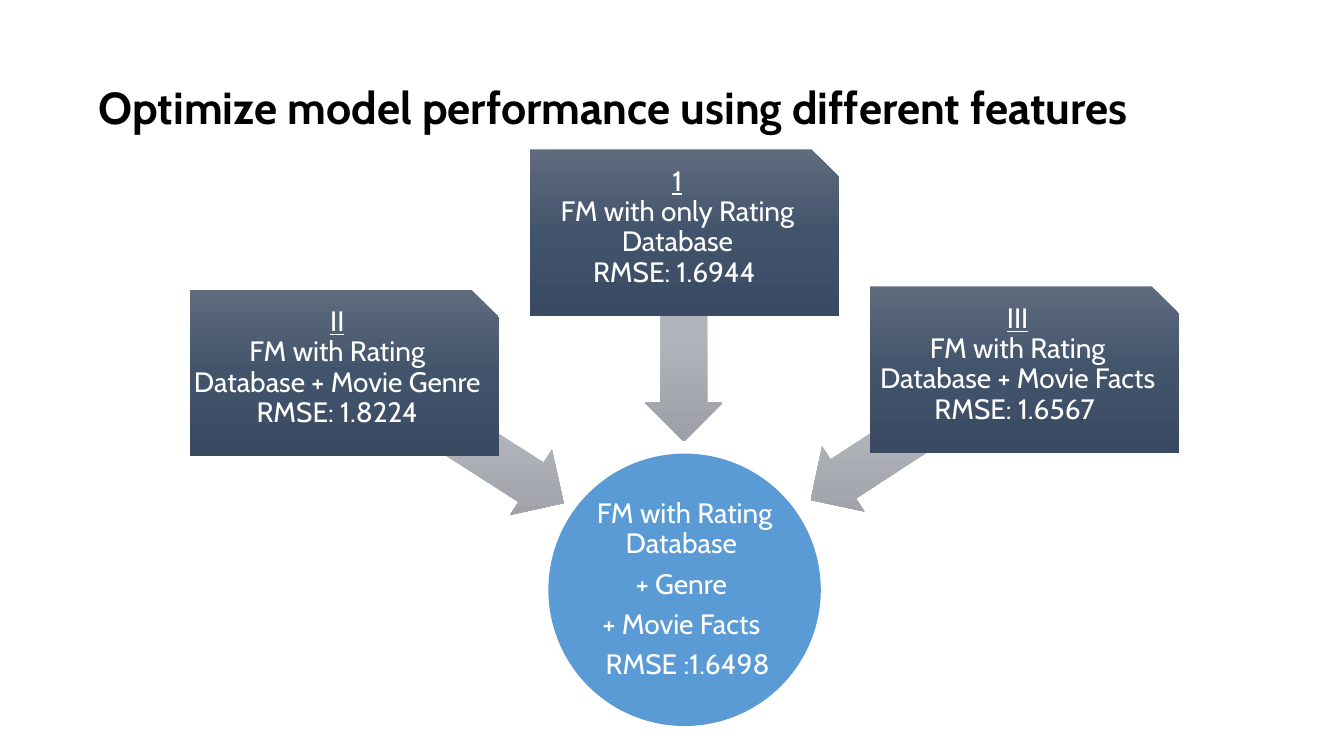
from copy import deepcopy
from pptx import Presentation
from pptx.dml.color import RGBColor
from pptx.enum.shapes import MSO_SHAPE
from pptx.enum.text import MSO_ANCHOR, PP_ALIGN
from pptx.oxml.ns import qn
from pptx.util import Pt


def paint(shape, *tones):
    """Fill with one tone, or with three as an upright gradient that ignores rotation."""
    shape.shadow.inherit = False
    shape.line.fill.background()
    fill = shape.fill
    if len(tones) == 1:
        fill.solid()
        fill.fore_color.rgb = RGBColor.from_string(tones[0])
        return
    fill.gradient()
    fill.gradient_angle = 270
    grad = shape.element.spPr.find(qn("a:gradFill"))
    grad.set("rotWithShape", "0")
    stops = grad.find(qn("a:gsLst"))
    stops.insert(1, deepcopy(stops[0]))
    for stop, place, tone in zip(fill.gradient_stops, (0, 0.5, 1), tones):
        stop.position = place
        stop.color.rgb = RGBColor.from_string(tone)


def write(shape, lines, inset, anchor, gap=0):
    frame = shape.text_frame
    frame.word_wrap = True
    frame.vertical_anchor = anchor
    frame.margin_left = frame.margin_right = Pt(inset)
    frame.margin_top = frame.margin_bottom = Pt(inset)
    for i, line in enumerate(lines):
        para = frame.add_paragraph() if i else frame.paragraphs[0]
        para.alignment = PP_ALIGN.CENTER
        para.line_spacing = 0.9
        para.space_after = Pt(gap)
        run = para.add_run()
        run.text = line
        run.font.name = "Cabin"
        run.font.size = Pt(20)
        run.font.color.rgb = RGBColor.from_string("FFFFFF")


deck = Presentation()
deck.slide_width, deck.slide_height = Pt(960), Pt(540)
slide = deck.slides.add_slide(deck.slide_layouts[5])
shapes = slide.shapes

# Title
title = shapes.title
title.left, title.top, title.width, title.height = Pt(63.4), Pt(53.3), Pt(864), Pt(46)
title.text_frame.vertical_anchor = MSO_ANCHOR.TOP
para = title.text_frame.paragraphs[0]
para.alignment = PP_ALIGN.LEFT
run = para.add_run()
run.text = "Optimize model performance using different features"
run.font.name = "Cabin"
run.font.size = Pt(32)
run.font.bold = True
run.font.color.rgb = RGBColor.from_string("000000")

# Combined model
hub = shapes.add_shape(MSO_SHAPE.OVAL, Pt(391.7), Pt(324), Pt(194.6), Pt(194.6))
paint(hub, "5B9BD5")
write(hub, ["FM with Rating Database ", "+ Genre ", "+ Movie Facts ", " RMSE :1.6498"],
      0.9, MSO_ANCHOR.MIDDLE, gap=7)

# Single models: box top, arrow (left, top, length, turn), text
models = [
    (206.8, (236.2, 283, 180.7, 212.6),
     ["II", "FM with Rating Database + Movie Genre", "RMSE: 1.8224"]),
    (106.6, (414, 213.1, 149, 270),
     ["1", "FM with only Rating Database", "RMSE: 1.6944 "]),
    (204.5, (564.5, 280.1, 181.4, 327),
     ["III", "FM with Rating Database + Movie Facts RMSE: 1.6567 "]),
]
for col, (top, (x, y, length, turn), lines) in enumerate(models):
    arrow = shapes.add_shape(MSO_SHAPE.LEFT_ARROW, Pt(x), Pt(y), Pt(length), Pt(55.4))
    arrow.adjustments[0] = 0.6
    arrow.adjustments[1] = 0.5
    arrow.rotation = turn
    paint(arrow, "BABDC2", "B0B3BA", "9C9FA6")

    box = shapes.add_shape(MSO_SHAPE.SNIP_1_RECTANGLE,
                           Pt(135.4 + 243 * col), Pt(top), Pt(221), Pt(118.8))
    paint(box, "606B7D", "42546C", "394A62")
    write(box, lines, 2.9, MSO_ANCHOR.TOP)
    box.text_frame.paragraphs[0].runs[0].font.underline = True

deck.save("out.pptx")
